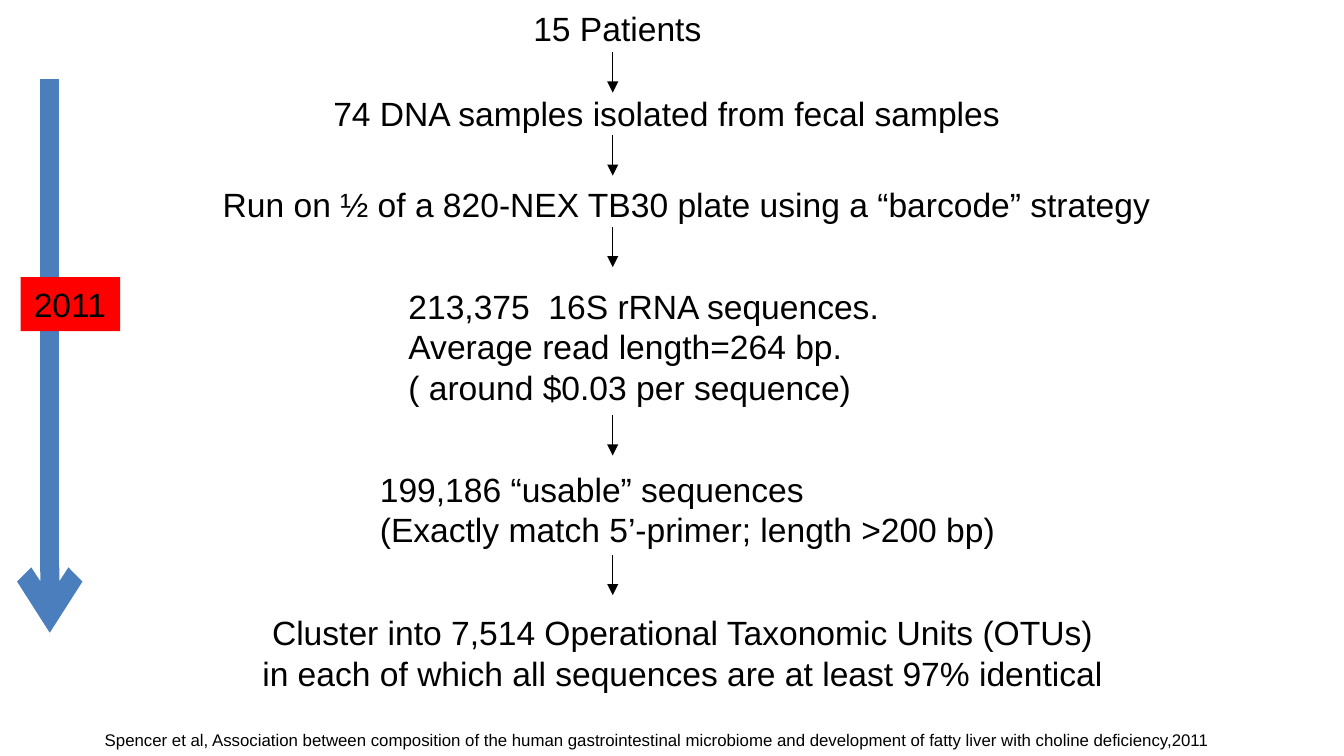
from lxml import etree
from pptx import Presentation
from pptx import util as u
from pptx.dml.color import RGBColor
from pptx.enum import shapes, text
from pptx.oxml import ns

COLORS = {"ink": "000000", "timeline": "4B7EBC", "year": "FF0000"}
FONT = "Arial"
FLOW_X = 11.58
ARROW_LENGTH = 0.76

# left, top, width, height in cm, then the lines of the step
STEPS = [
    (9.83, 0.03, 3.71, 1.02, ["15 Patients"]),
    (6.05, 1.63, 13.23, 1.02, ["74 DNA samples isolated from fecal samples"]),
    (3.96, 3.35, 18.08, 1.02,
     ["Run on ½ of a 820-NEX TB30 plate using a “barcode” strategy"]),
    (7.47, 5.28, 9.86, 2.57,
     ["213,375  16S rRNA sequences.",
      "Average read length=264 bp.",
      "( around $0.03 per sequence)"]),
    (6.93, 8.74, 12.24, 1.8,
     ["199,186 “usable” sequences",
      "(Exactly match 5’-primer; length >200 bp)"]),
]
CLUSTER = ["Cluster into 7,514 Operational Taxonomic Units (OTUs)",
           "in each of which all sequences are at least 97% identical"]
CITATION = ("Spencer et al, Association between composition of the human "
            "gastrointestinal microbiome and development of fatty liver "
            "with choline deficiency,2011")
ARROW_TOPS = [0.99, 2.56, 4.29, 7.85, 10.49]


def color(name):
    return RGBColor.from_string(COLORS[name])


def write(s, lines, size=18, wrap=False, align=text.PP_ALIGN.LEFT):
    tf = s.text_frame
    tf.word_wrap = wrap
    tf.auto_size = text.MSO_AUTO_SIZE.SHAPE_TO_FIT_TEXT
    for i, line in enumerate(lines):
        p = tf.paragraphs[0] if i == 0 else tf.add_paragraph()
        p.alignment = align
        r = p.add_run()
        r.text = line
        r.font.size = u.Pt(size)
        r.font.name = FONT
        r.font.color.rgb = color("ink")


def add_text(sp, left, top, width, height, lines, **style):
    s = sp.add_textbox(u.Cm(left), u.Cm(top), u.Cm(width), u.Cm(height))
    write(s, lines, **style)


def add_down_arrow(sp, x, top, bottom, name, weight, head):
    s = sp.add_connector(shapes.MSO_CONNECTOR.STRAIGHT,
                         u.Cm(x), u.Cm(top), u.Cm(x), u.Cm(bottom))
    s.line.color.rgb = color(name)
    s.line.width = u.Pt(weight)
    props = s._element.spPr
    etree.SubElement(props.find(ns.qn("a:ln")), ns.qn("a:tailEnd"), type=head)
    etree.SubElement(props, ns.qn("a:effectLst"))


def add_year_label(sp, left, top, width, height, year):
    s = sp.add_shape(shapes.MSO_SHAPE.RECTANGLE,
                     u.Cm(left), u.Cm(top), u.Cm(width), u.Cm(height))
    s.shadow.inherit = False
    s.fill.solid()
    s.fill.fore_color.rgb = color("year")
    s.line.fill.background()
    write(s, [year])


def main():
    prs = Presentation()
    prs.slide_width, prs.slide_height = u.Cm(25.4), u.Cm(14.29)
    sp = prs.slides.add_slide(prs.slide_layouts[6]).shapes

    for *box, lines in STEPS:
        add_text(sp, *box, lines)
    add_text(sp, 4.52, 11.45, 16.76, 1.8, CLUSTER,
             align=text.PP_ALIGN.CENTER)
    for top in ARROW_TOPS:
        add_down_arrow(sp, FLOW_X, top, top + ARROW_LENGTH,
                       "ink", 0.75, "triangle")

    add_text(sp, 1.73, 13.67, 29.41, 0.64, [CITATION], size=9, wrap=True)
    add_down_arrow(sp, 0.94, 1.5, 11.96, "timeline", 10, "arrow")
    add_year_label(sp, 0.39, 5.24, 1.88, 1.02, "2011")
    prs.save("out.pptx")


if __name__ == "__main__":
    main()
